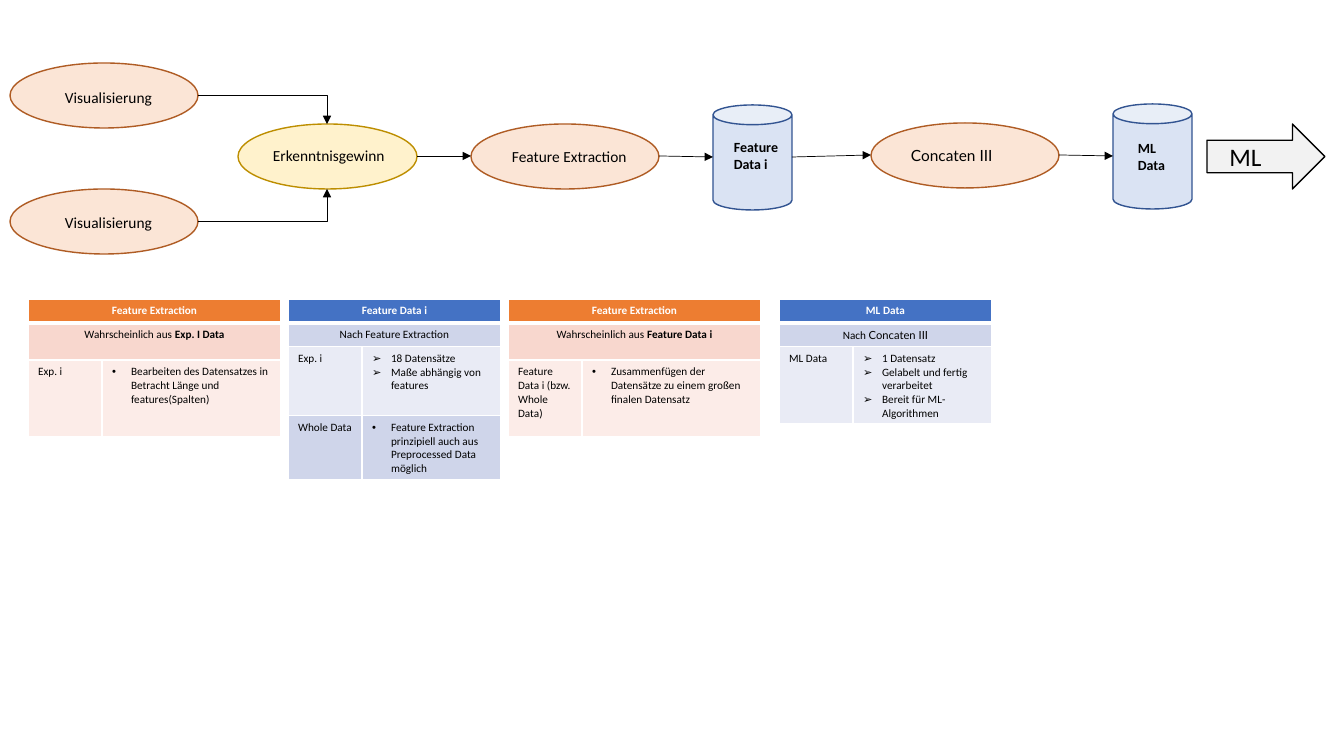
from lxml import etree
from pptx import Presentation
from pptx import util as u
from pptx.dml.color import RGBColor
from pptx.enum import shapes, text
from pptx.oxml.ns import qn

SCALE = 914400 / 100.8
SHAPE = shapes.MSO_SHAPE
ORANGE = ("ED7D31", "F8D7CE", "FCECE8")
BLUE = ("4472C4", "CFD5EA", "E9EBF5", "CFD5EA")


def px(n):
    return u.Emu(round(n * SCALE))


def color(value):
    return RGBColor.from_string(value)


def style(p, size, name="Calibri", bold=False, fill="000000"):
    p.font.size, p.font.name = u.Pt(size), name
    p.font.bold, p.font.color.rgb = bold, color(fill)


# Flow chart
def add_node(s, kind, box, fill, line):
    sp = s.shapes.add_shape(kind, *map(px, box))
    sp.shadow.inherit = False
    sp.fill.solid()
    sp.fill.fore_color.rgb = color(fill)
    sp.line.color.rgb = color(line)
    sp.line.width = u.Pt(1)


def add_label(s, box, lines, size, name, bold, align):
    tf = s.shapes.add_textbox(*map(px, box)).text_frame
    tf.word_wrap = True
    for i, line in enumerate(lines):
        p = tf.add_paragraph() if i else tf.paragraphs[0]
        p.text, p.alignment = line, align
        style(p, size, name, bold)


def add_arrow(s, start, end, bent=False):
    kind = shapes.MSO_CONNECTOR.ELBOW if bent else shapes.MSO_CONNECTOR.STRAIGHT
    c = s.shapes.add_connector(kind, *map(px, (*start, *end)))
    c.line.color.rgb = color("000000")
    c.line.width = u.Pt(0.5)
    etree.SubElement(c.line._get_or_add_ln(), qn("a:tailEnd"), type="triangle")
    sp_pr = c._element.spPr
    etree.SubElement(sp_pr, qn("a:effectLst"))
    if bent:
        sp_pr.find(qn("a:prstGeom")).set("prst", "bentConnector2")


def draw_flow(s, left, top):
    peach, yellow = ("FBE5D6", "AF5C24"), ("FFF2CC", "BD8E00")
    blue, grey = ("DAE3F3", "325491"), ("F2F2F2", "000000")
    oval, can = SHAPE.OVAL, SHAPE.CAN
    # kind, colours, box, label lines, label box relative to the node, size, font
    nodes = [
        (oval, peach, (0, 0, 188, 65), ["Visualisierung"], (45, 20, 109, 29), 11, "Calibri"),
        (oval, peach, (0, 126, 188, 65), ["Visualisierung"], (45, 19, 109, 29), 11, "Calibri"),
        (oval, yellow, (228, 61, 179, 65), ["Erkenntnisgewinn"], (25, 17, 138, 29), 11, "Calibri"),
        (oval, peach, (461, 61, 188, 65), ["Feature Extraction"], (31, 18, 142, 29), 11, "Calibri"),
        (can, blue, (703, 42, 79, 105), ["Feature", "Data i"], (11, 29, 68, 44), 10, "Calibri"),
        (oval, peach, (861, 60, 188, 65), ["Concaten III"], (30, 18, 142, 29), 11, "Lato"),
        (can, blue, (1103, 41, 79, 105), ["ML", "Data"], (15, 31, 68, 44), 10, "Calibri"),
        (SHAPE.RIGHT_ARROW, grey, (1197, 61, 118, 65), ["ML"], (-26, 12, 129, 40), 18, "Calibri"),
    ]
    boxes = []
    for kind, colors, (x, y, w, h), lines, (dx, dy, lw, lh), size, name in nodes:
        x, y = left + x, top + y
        boxes.append((x, y, w, h))
        add_node(s, kind, boxes[-1], *colors)
        align = text.PP_ALIGN.CENTER if kind == SHAPE.RIGHT_ARROW else text.PP_ALIGN.LEFT
        add_label(s, (x + dx, y + dy, lw, lh), lines, size, name, kind == can, align)

    def right(box):
        return box[0] + box[2], box[1] + box[3] // 2

    # Both sources bend into the insight node
    x, y, w, h = boxes[2]
    for source, end_y in zip(boxes, (y, y + h)):
        add_arrow(s, right(source), (x + w // 2, end_y), bent=True)
    # Straight links along the chain
    for a, b in zip(boxes[2:6], boxes[3:7]):
        add_arrow(s, right(a), (b[0], b[1] + b[3] // 2))


# Tables
def add_borders(cell, header):
    tc_pr = cell._tc.get_or_add_tcPr()
    for i, side in enumerate(("lnL", "lnR", "lnT", "lnB")):
        width = u.Pt(3 if header and side == "lnB" else 1)
        ln = etree.Element(qn("a:" + side), w=str(width))
        fill = etree.SubElement(ln, qn("a:solidFill"))
        etree.SubElement(fill, qn("a:srgbClr"), val="FFFFFF")
        tc_pr.insert(i, ln)


def add_bullet(p, char):
    p_pr = p._p.get_or_add_pPr()
    p_pr.set("marL", str(px(19)))
    p_pr.set("indent", str(-px(19)))
    etree.SubElement(p_pr, qn("a:buFont"), typeface="Arial")
    etree.SubElement(p_pr, qn("a:buChar"), char=char)


def draw_table(s, box, heights, fills, title, subtitle, entries):
    """subtitle: plain text, accent text, accent font, accent bold;
    entries: name, bullet character, bullet texts."""
    x, y, w = box
    frame = s.shapes.add_table(len(heights), 2, *map(px, (x, y, w, sum(heights))))
    table = frame.table
    for col, width in zip(table.columns, (74, w - 74)):
        col.width = px(width)
    for i, (row, height) in enumerate(zip(table.rows, heights)):
        row.height = px(height)
        for cell in row.cells:
            cell.fill.solid()
            cell.fill.fore_color.rgb = color(fills[i])
            add_borders(cell, i == 0)

    # Title and subtitle span both columns
    for i in (0, 1):
        table.cell(i, 0).merge(table.cell(i, 1))
        p = table.cell(i, 0).text_frame.paragraphs[0]
        p.alignment = text.PP_ALIGN.CENTER
        if i == 0:
            p.text = title
            style(p, 8, bold=True, fill="FFFFFF")
        else:
            plain, accent, name, bold = subtitle
            style(p, 8)
            p.add_run().text = plain
            if accent:
                r = p.add_run()
                r.text, r.font.name, r.font.bold = accent, name, bold

    # Entries with their bullet lists
    for i, (label, char, points) in enumerate(entries, 2):
        p = table.cell(i, 0).text_frame.paragraphs[0]
        p.text = label
        style(p, 8)
        tf = table.cell(i, 1).text_frame
        for j, point in enumerate(points):
            p = tf.add_paragraph() if j else tf.paragraphs[0]
            p.text = point
            add_bullet(p, char)
            style(p, 8)


prs = Presentation()
prs.slide_width, prs.slide_height = px(1344), px(756)
s = prs.slides.add_slide(prs.slide_layouts[6])
draw_flow(s, 10, 63)

TOP, WIDE, NARROW = 299, 253, 213
draw_table(s, (28, TOP, WIDE), (24, 37, 77), ORANGE, "Feature Extraction",
           ("Wahrscheinlich aus ", "Exp. I Data", "Calibri", True),
           [("Exp. i", "•", ["Bearbeiten des Datensatzes in Betracht Länge und features(Spalten)"])])
draw_table(s, (288, TOP, NARROW), (24, 23, 69, 63), BLUE, "Feature Data i",
           ("Nach Feature Extraction", "", "Calibri", False),
           [("Exp. i", "➢", ["18 Datensätze", "Maße abhängig von features"]),
            ("Whole Data", "•", ["Feature Extraction prinzipiell auch aus Preprocessed Data möglich"])])
draw_table(s, (508, TOP, WIDE), (24, 37, 77), ORANGE, "Feature Extraction",
           ("Wahrscheinlich aus ", "Feature Data i", "Calibri", True),
           [("Feature Data i (bzw. Whole Data)", "•",
             ["Zusammenfügen der Datensätze zu einem großen finalen Datensatz"])])
draw_table(s, (779, TOP, NARROW), (24, 23, 77), BLUE, "ML Data",
           ("Nach ", "Concaten III", "Lato", False),
           [("ML Data", "➢", ["1 Datensatz", "Gelabelt und fertig verarbeitet",
                              "Bereit für ML-Algorithmen"])])
prs.save("out.pptx")
